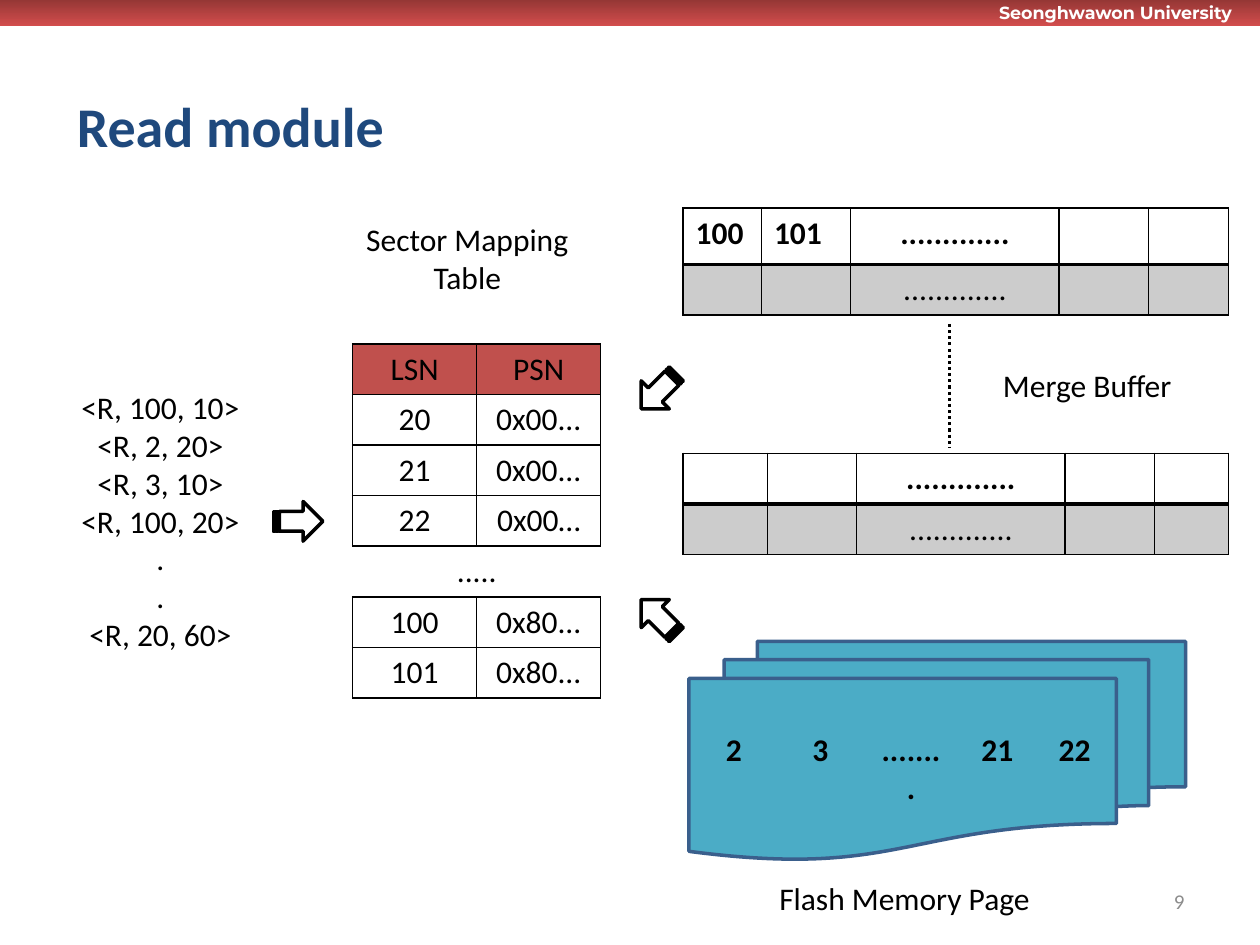
from collections import namedtuple

from lxml.etree import SubElement
from pptx import Presentation
from pptx.dml.color import RGBColor
from pptx.enum.dml import MSO_LINE
from pptx.enum.shapes import MSO_CONNECTOR, MSO_SHAPE
from pptx.enum.text import MSO_ANCHOR, MSO_AUTO_SIZE, PP_ALIGN
from pptx.oxml.ns import qn
from pptx.util import Cm, Pt

BLACK = RGBColor(0x00, 0x00, 0x00)
WHITE = RGBColor(0xFF, 0xFF, 0xFF)
SHADED = RGBColor(0xCC, 0xCC, 0xCC)
GREY = RGBColor(0x8C, 0x8C, 0x8C)
NAVY = RGBColor(0x1F, 0x49, 0x7D)
RED = RGBColor(0xC0, 0x50, 0x4D)
BAND_TOP = RGBColor(0x95, 0x37, 0x35)
BAND_BOTTOM = RGBColor(0xD3, 0x4D, 0x4D)
TEAL = RGBColor(0x4B, 0xAC, 0xC6)
TEAL_EDGE = RGBColor(0x3A, 0x5F, 0x8C)

FONT = "Calibri"
ROW = 1.02
DOTS = "............."
GRID = {"L": 1, "R": 1, "T": 1, "B": 1}

Box = namedtuple("Box", "left top width height")


def lengths(box):
    return [Cm(value) for value in box]


def add_span(para, text, size=18, color=BLACK, bold=False, font=FONT):
    span = para.add_run()
    span.text = text
    span.font.size = Pt(size)
    span.font.name = font
    span.font.bold = bold
    span.font.color.rgb = color


def add_text(page, box, lines, align=PP_ALIGN.LEFT, fit=True, **style):
    frame = page.shapes.add_textbox(*lengths(box)).text_frame
    frame.word_wrap = not fit
    if fit:
        frame.auto_size = MSO_AUTO_SIZE.SHAPE_TO_FIT_TEXT
    else:
        frame.vertical_anchor = MSO_ANCHOR.MIDDLE
    for index, line in enumerate(lines):
        para = frame.add_paragraph() if index else frame.paragraphs[0]
        para.alignment = align
        add_span(para, line, **style)


def add_outlined(page, kind, box, fill, edge):
    shape = page.shapes.add_shape(kind, *lengths(box))
    shape.shadow.inherit = False
    shape.fill.solid()
    shape.fill.fore_color.rgb = fill
    shape.line.color.rgb = edge
    shape.line.width = Pt(2)
    return shape


def set_borders(cell, widths):
    properties = cell._tc.get_or_add_tcPr()
    for side in "LRTB":
        width = widths.get(side, 0)
        line = SubElement(properties, qn(f"a:ln{side}"), w=str(Pt(width)))
        if width:
            fill = SubElement(line, qn("a:solidFill"))
            SubElement(fill, qn("a:srgbClr"), val=str(BLACK))
        else:
            SubElement(line, qn("a:noFill"))


def add_table(page, box, columns, rows):
    frame = page.shapes.add_table(len(rows), len(columns), *lengths(box))
    table = frame.table
    table.first_row = table.horz_banding = False
    for column, width in zip(table.columns, columns):
        column.width = Cm(width)
    for row, height in zip(table.rows, rows):
        row.height = Cm(height)
    return table


def fill_cell(cell, text="", borders=GRID, fill=None, bold=False, align=PP_ALIGN.CENTER):
    set_borders(cell, borders)
    if fill is None:
        cell.fill.background()
    else:
        cell.fill.solid()
        cell.fill.fore_color.rgb = fill
    if text:
        para = cell.text_frame.paragraphs[0]
        para.alignment = align
        add_span(para, text, bold=bold)


def draw_header(page, box):
    band = page.shapes.add_shape(MSO_SHAPE.RECTANGLE, *lengths(box))
    band.shadow.inherit = False
    band.line.fill.background()
    band.fill.gradient()
    band.fill.gradient_angle = 270
    for stop, color in zip(band.fill.gradient_stops, (BAND_TOP, BAND_BOTTOM)):
        stop.color.rgb = color
    name_box = Box(box.left + 19.89, box.top - 0.08, 5.56, 0.69)
    add_text(page, name_box, ["Seonghwawon University"], size=10, color=WHITE,
             bold=True, font="Montserrat")


def draw_requests(page, box):
    requests = ["<R, 100, 10>", "<R, 2, 20>", "<R, 3, 10>", "<R, 100, 20>",
                ".", ".", "<R, 20, 60>"]
    add_text(page, box, requests, PP_ALIGN.CENTER)


def draw_mapping(page, box):
    add_text(page, Box(box.left, box.top, 4.62, 1.8), ["Sector Mapping", "Table"],
             PP_ALIGN.CENTER)
    entries = [("LSN", "PSN"), ("20", "0x00..."), ("21", "0x00..."), ("22", "0x00…"),
               (".....",), ("100", "0x80..."), ("101", "0x80...")]
    table_box = Box(box.left, box.top + 2.61, box.width, ROW * len(entries))
    table = add_table(page, table_box, [box.width / 2] * 2, [ROW] * len(entries))
    for index, entry in enumerate(entries):
        borders = GRID
        if len(entry) == 1:
            table.cell(index, 0).merge(table.cell(index, 1))
            borders = {"T": 1, "B": 1}
        for column in range(2):
            text = entry[column] if column < len(entry) else ""
            fill_cell(table.cell(index, column), text, borders, None if index else RED)


def draw_buffer(page, box, columns, top_height, sectors, anchor):
    table = add_table(page, box, columns, [top_height, ROW])
    for column in range(len(columns)):
        top, bottom = table.cell(0, column), table.cell(1, column)
        text = sectors.get(column, "")
        align = PP_ALIGN.CENTER if text == DOTS else PP_ALIGN.LEFT
        fill_cell(top, text, {**GRID, "B": 2}, bold=True, align=align)
        top.vertical_anchor = anchor
        fill_cell(bottom, DOTS if column == 2 else "", {**GRID, "T": 2}, SHADED)


def draw_merge_buffer(page, box):
    draw_buffer(page, Box(box.left, box.top, box.width, 2.16),
                [1.58, 1.8, 4.2, 1.8, 1.62], 1.14, {0: "100", 1: "101", 2: DOTS},
                MSO_ANCHOR.TOP)
    draw_buffer(page, Box(box.left, box.top + 4.95, box.width, 2 * ROW),
                [1.7, 1.8, 4.2, 1.8, 1.5], ROW, {2: DOTS}, MSO_ANCHOR.MIDDLE)
    middle = Cm(box.left + 5.38)
    link = page.shapes.add_connector(MSO_CONNECTOR.STRAIGHT, middle, Cm(box.top + 2.34),
                                     middle, Cm(box.top + 4.83))
    link.line.color.rgb = BLACK
    link.line.width = Pt(1.75)
    link.line.dash_style = MSO_LINE.ROUND_DOT
    SubElement(link._element.spPr, qn("a:effectLst"))
    add_text(page, Box(box.left + 6.2, box.top + 3.07, 3.96, ROW), ["Merge Buffer"])


def draw_flash(page, box):
    add_outlined(page, MSO_SHAPE.FLOWCHART_MULTIDOCUMENT,
                 Box(box.left, box.top, box.width, 4.4), TEAL, TEAL_EDGE)
    columns = [1.65, 1.83, 1.83, 1.65, 1.47]
    table = add_table(page, Box(box.left + 0.08, box.top + 1.68, sum(columns), 1.78),
                      columns, [1.78])
    for column, text in enumerate(["2", "3", "........", "21", "22"]):
        fill_cell(table.cell(0, column), text, {}, bold=True)
    add_text(page, Box(box.left + 1.57, box.top + 4.67, 5.61, ROW), ["Flash Memory Page"])


def draw_arrow(page, box, rotation):
    arrow = add_outlined(page, MSO_SHAPE.STRIPED_RIGHT_ARROW, box, WHITE, BLACK)
    arrow.rotation = rotation


def main():
    deck = Presentation()
    deck.slide_width, deck.slide_height = Cm(25.4), Cm(19.05)
    page = deck.slides.add_slide(deck.slide_layouts[6])
    draw_header(page, Box(0, 0, 25.4, 0.53))
    add_text(page, Box(1.3, 1.32, 21.56, 2.39), ["Read module"], fit=False, size=32,
             color=NAVY, bold=True)
    add_text(page, Box(18.21, 17.65, 5.92, ROW), ["9"], PP_ALIGN.RIGHT, fit=False,
             size=12, color=GREY)
    draw_requests(page, Box(1.37, 7.7, 3.73, 5.64))
    draw_merge_buffer(page, Box(13.77, 4.19, 11, 6.99))
    draw_flash(page, Box(13.89, 12.93, 10.01, 5.69))
    for left, top, rotation in [(5.51, 10.11, 0), (12.78, 7.49, 135), (12.78, 12.04, 225)]:
        draw_arrow(page, Box(left, top, 1, 0.8), rotation)
    draw_mapping(page, Box(7.11, 4.32, 5, 9.73))
    deck.save("out.pptx")


if __name__ == "__main__":
    main()
